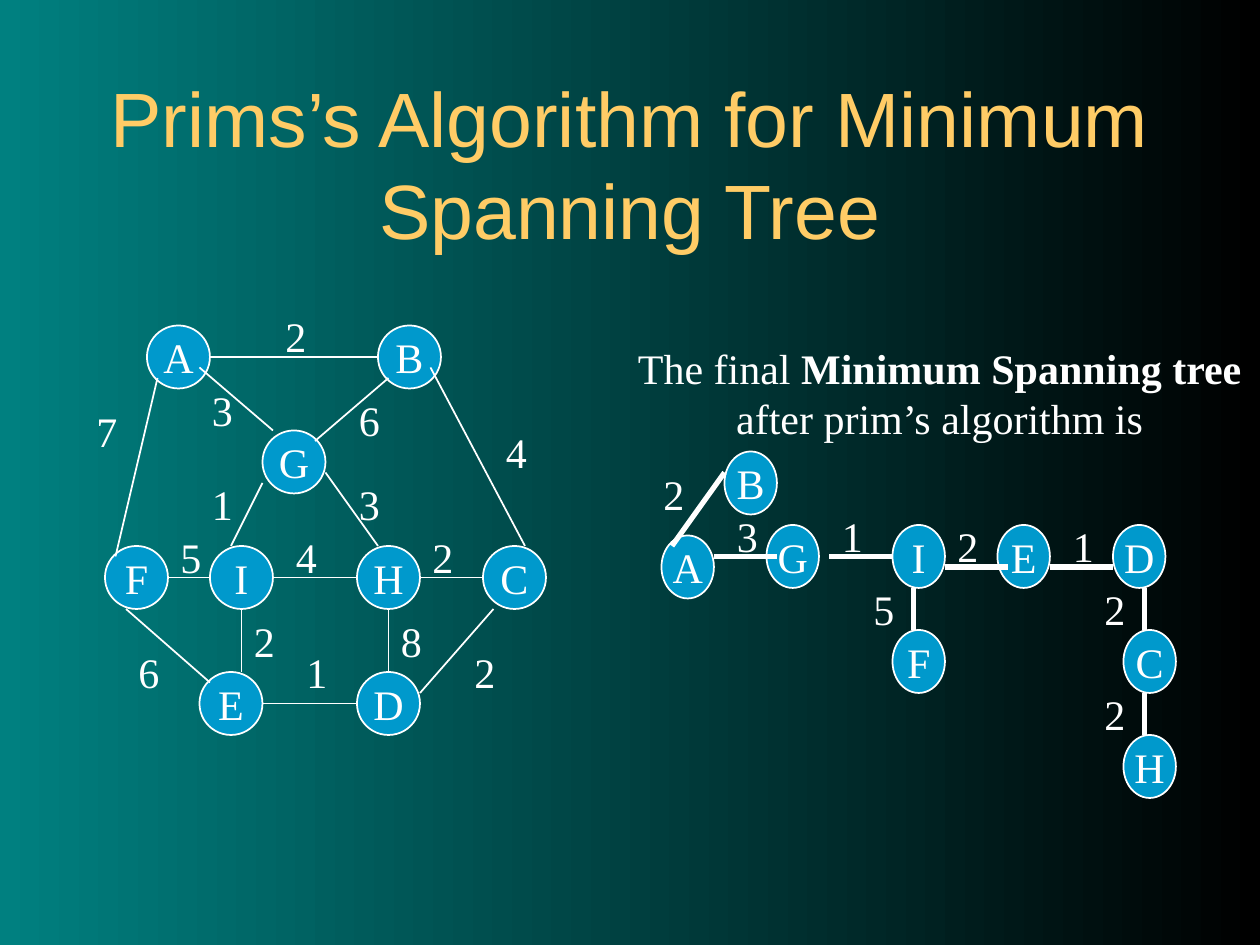
from dataclasses import dataclass
from typing import NamedTuple

from lxml import etree
from pptx import Presentation, util as u
from pptx.dml.color import RGBColor
from pptx.enum import shapes, text
from pptx.oxml.ns import qn


@dataclass(frozen=True)
class Theme:
    bg_start: str = "008080"
    bg_end: str = "000000"
    title: str = "FFCC66"
    node: str = "0099CC"
    ink: str = "FFFFFF"
    title_font: str = "Arial"
    body_font: str = "Times New Roman"
    title_size: int = 44
    body_size: int = 24


class Node(NamedTuple):
    name: str
    x: float
    y: float


class Edge(NamedTuple):
    x1: float
    y1: float
    x2: float
    y2: float
    weight: str
    label_x: float
    label_y: float
    label_w: float = 30


@dataclass(frozen=True)
class Graph:
    nodes: list[Node]
    edges: list[Edge]
    node_w: float
    node_h: float
    edge_width: float


THEME = Theme()

INPUT_GRAPH = Graph(
    nodes=[
        Node("A", 84, 186), Node("B", 216, 186), Node("G", 150, 246),
        Node("F", 60, 312), Node("I", 120, 312), Node("H", 204, 312),
        Node("C", 276, 312), Node("E", 114, 384), Node("D", 204, 384),
    ],
    edges=[
        Edge(120, 204, 216, 204, "2", 156, 174),
        Edge(90, 216, 66, 318, "7", 48, 228),
        Edge(114, 210, 156, 246, "3", 114, 216),
        Edge(222, 216, 180, 252, "6", 198, 222),
        Edge(246, 210, 300, 312, "4", 282, 240),
        Edge(96, 330, 120, 330, "5", 96, 300),
        Edge(156, 330, 204, 330, "4", 162, 300),
        Edge(240, 330, 276, 330, "2", 240, 300),
        Edge(72, 348, 120, 390, "6", 72, 366),
        Edge(150, 276, 132, 312, "1", 114, 270),
        Edge(186, 270, 216, 312, "3", 198, 270),
        Edge(150, 402, 204, 402, "1", 168, 366),
        Edge(282, 348, 240, 396, "2", 264, 366),
        Edge(138, 348, 138, 384, "2", 138, 348),
        Edge(222, 348, 222, 384, "8", 222, 348),
    ],
    node_w=36, node_h=36, edge_width=1,
)

SPANNING_TREE = Graph(
    nodes=[
        Node("A", 378, 306), Node("B", 414, 258), Node("G", 438, 300),
        Node("I", 510, 300), Node("F", 510, 360), Node("E", 570, 300),
        Node("D", 636, 300), Node("C", 642, 360), Node("H", 642, 420),
    ],
    edges=[
        Edge(414, 270, 384, 312, "2", 372, 264, 24),
        Edge(408, 318, 444, 318, "3", 414, 288, 24),
        Edge(474, 318, 510, 318, "1", 474, 288),
        Edge(522, 336, 522, 360, "5", 492, 330),
        Edge(540, 324, 576, 324, "2", 540, 294),
        Edge(600, 324, 636, 324, "1", 606, 294, 24),
        Edge(654, 336, 654, 360, "2", 624, 330),
        Edge(654, 396, 654, 420, "2", 624, 390),
    ],
    node_w=30, node_h=36, edge_width=3,
)


def rgb(value: str) -> RGBColor:
    return RGBColor.from_string(value)


def add_run(p, content: str, *, font: str = THEME.body_font, size: float = THEME.body_size,
            color: str = THEME.ink, bold: bool = False) -> None:
    r = p.add_run()
    r.text = content
    r.font.name = font
    r.font.size = u.Pt(size)
    r.font.bold = bold
    r.font.color.rgb = rgb(color)


def add_text_box(s, x: float, y: float, w: float, h: float, *, center: bool = False,
                 middle: bool = False, grow: bool = True):
    tf = s.shapes.add_textbox(u.Pt(x), u.Pt(y), u.Pt(w), u.Pt(h)).text_frame
    tf.word_wrap = True
    tf.auto_size = text.MSO_AUTO_SIZE.SHAPE_TO_FIT_TEXT if grow else text.MSO_AUTO_SIZE.NONE
    tf.vertical_anchor = text.MSO_ANCHOR.MIDDLE if middle else text.MSO_ANCHOR.TOP
    p = tf.paragraphs[0]
    p.alignment = text.PP_ALIGN.CENTER if center else text.PP_ALIGN.LEFT
    return p


def draw_node(s, node: Node, w: float, h: float) -> None:
    sp = s.shapes.add_shape(shapes.MSO_SHAPE.OVAL, u.Pt(node.x), u.Pt(node.y), u.Pt(w), u.Pt(h))
    sp.shadow.inherit = False
    sp.fill.solid()
    sp.fill.fore_color.rgb = rgb(THEME.node)
    sp.line.color.rgb = rgb(THEME.ink)
    sp.line.width = u.Pt(1)
    tf = sp.text_frame
    tf.word_wrap = False
    tf.vertical_anchor = text.MSO_ANCHOR.MIDDLE
    p = tf.paragraphs[0]
    p.alignment = text.PP_ALIGN.CENTER
    add_run(p, node.name)


def draw_edge(s, edge: Edge, width: float) -> None:
    line = s.shapes.add_connector(shapes.MSO_CONNECTOR.STRAIGHT, u.Pt(edge.x1), u.Pt(edge.y1),
                                  u.Pt(edge.x2), u.Pt(edge.y2))
    line.line.color.rgb = rgb(THEME.ink)
    line.line.width = u.Pt(width)
    etree.SubElement(line.element.spPr, qn("a:effectLst"))


def draw_graph(s, graph: Graph) -> None:
    for node in graph.nodes:
        draw_node(s, node, graph.node_w, graph.node_h)
    for edge in graph.edges:
        draw_edge(s, edge, graph.edge_width)
    for edge in graph.edges:
        add_run(add_text_box(s, edge.label_x, edge.label_y, edge.label_w, 36), edge.weight)


def paint_background(s) -> None:
    fill = s.background.fill
    fill.gradient()
    fill.gradient_angle = 0
    for stop, color in zip(fill.gradient_stops, (THEME.bg_start, THEME.bg_end)):
        stop.color.rgb = rgb(color)


def main() -> None:
    prs = Presentation()
    prs.slide_width, prs.slide_height = u.Pt(720), u.Pt(540)
    s = prs.slides.add_slide(prs.slide_layouts[6])
    paint_background(s)

    title = add_text_box(s, 54, 48, 612, 90, center=True, middle=True, grow=False)
    add_run(title, "Prims’s Algorithm for Minimum Spanning Tree",
            font=THEME.title_font, size=THEME.title_size, color=THEME.title)

    draw_graph(s, INPUT_GRAPH)

    caption = add_text_box(s, 354, 192, 366, 65, center=True)
    add_run(caption, "The final ")
    add_run(caption, "Minimum Spanning tree", bold=True)
    add_run(caption, " after prim’s algorithm is")
    draw_graph(s, SPANNING_TREE)

    prs.save("out.pptx")


if __name__ == "__main__":
    main()
